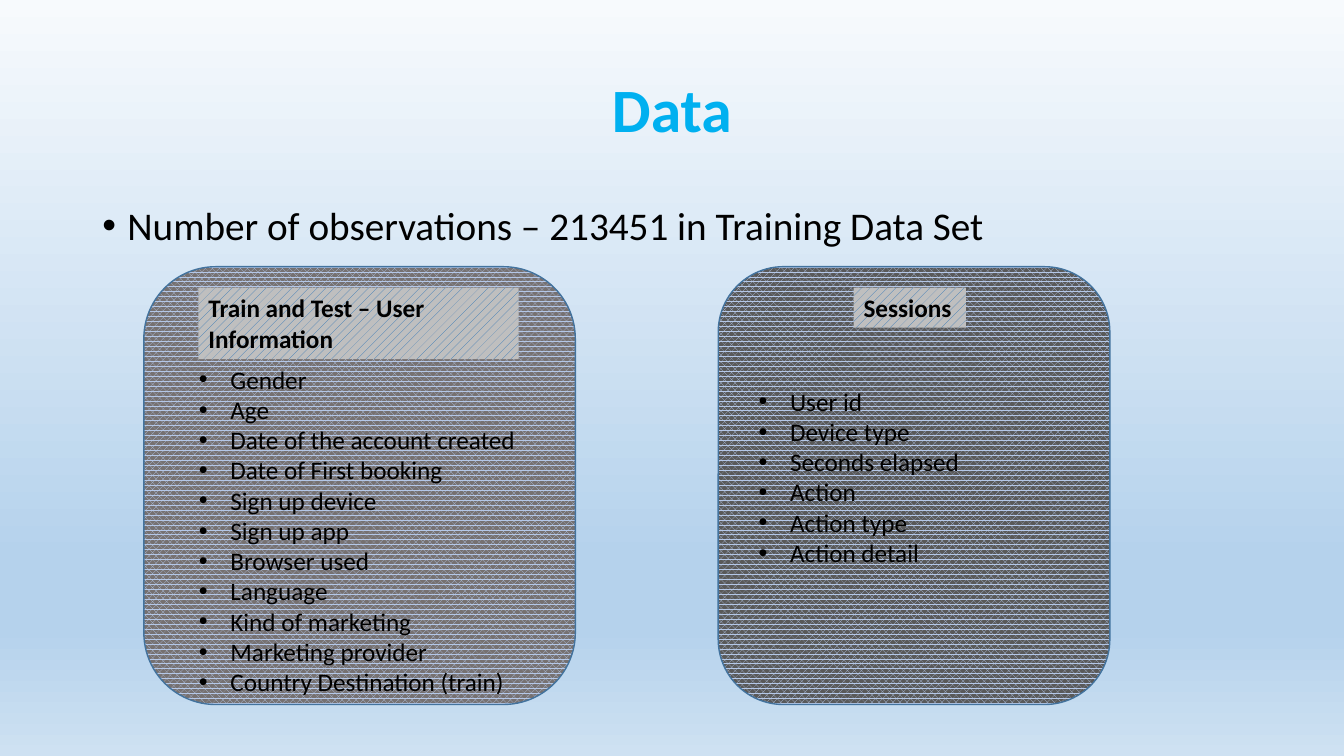
from copy import deepcopy
from dataclasses import dataclass

from pptx import Presentation
from pptx.dml.color import RGBColor
from pptx.enum.dml import MSO_PATTERN as Pattern
from pptx.enum.shapes import MSO_SHAPE as Preset
from pptx.enum.text import MSO_ANCHOR as Anchor, PP_ALIGN as Align
from pptx.oxml.ns import qn
from pptx.oxml.xmlchemy import OxmlElement
from pptx.shapes.autoshape import Shape
from pptx.slide import Slide
from pptx.text.text import _Paragraph as Paragraph
from pptx.util import Emu, Pt

EMU_PER_PX = 9525
FONT = "Calibri"
BLACK = RGBColor(0x00, 0x00, 0x00)
TITLE_BLUE = RGBColor(0x00, 0xB0, 0xF0)
CARD_OUTLINE = RGBColor(0x43, 0x73, 0x9E)
CARD_DOTS = RGBColor(0xB4, 0xC7, 0xE7)
WARM_GRAY = RGBColor(0x76, 0x71, 0x71)
DARK_GRAY = RGBColor(0x59, 0x59, 0x59)
LABEL_DOTS = RGBColor(0x2E, 0x75, 0xB6)
LABEL_GRAY = RGBColor(0xBF, 0xBF, 0xBF)
BACKGROUND_STOPS = (
    (0.00, RGBColor(0xF7, 0xFA, 0xFD)),
    (0.74, RGBColor(0xB5, 0xD2, 0xEC)),
    (0.83, RGBColor(0xB5, 0xD2, 0xEC)),
    (1.00, RGBColor(0xCE, 0xE1, 0xF2)),
)


@dataclass(frozen=True)
class Box:
    left: int
    top: int
    width: int
    height: int

    def emu(self) -> tuple[Emu, Emu, Emu, Emu]:
        left, top, width, height = map(px, (self.left, self.top, self.width, self.height))
        return left, top, width, height


@dataclass(frozen=True)
class DataSet:
    heading: str
    fields: tuple[str, ...]
    color: RGBColor
    card: Box
    label: Box
    listing: Box


TITLE_BOX = Box(88, 38, 1104, 139)
BODY_BOX = Box(88, 192, 1104, 492)
DATA_SETS = (
    DataSet(
        "Train and Test – User Information",
        (
            "Gender", "Age", "Date of the account created", "Date of First booking",
            "Sign up device", "Sign up app", "Browser used", "Language",
            "Kind of marketing", "Marketing provider", "Country Destination (train)",
        ),
        WARM_GRAY,
        card=Box(137, 254, 411, 417),
        label=Box(189, 274, 305, 68),
        listing=Box(180, 342, 323, 329),
    ),
    DataSet(
        "Sessions",
        ("User id", "Device type", "Seconds elapsed", "Action", "Action type", "Action detail"),
        DARK_GRAY,
        card=Box(684, 254, 373, 417),
        label=Box(813, 274, 107, 38),
        listing=Box(713, 363, 316, 184),
    ),
)


def px(length: int) -> Emu:
    return Emu(length * EMU_PER_PX)


def paint_background(slide: Slide) -> None:
    fill = slide.background.fill
    fill.gradient()
    fill.gradient_angle = 270
    stop_list = slide.element.find(".//" + qn("a:gsLst"))
    while len(stop_list) < len(BACKGROUND_STOPS):
        stop_list.append(deepcopy(stop_list[0]))
    for stop, (position, color) in zip(fill.gradient_stops, BACKGROUND_STOPS):
        stop.position = position
        stop.color.rgb = color


def add_bullet(paragraph: Paragraph, indent: int) -> None:
    """Give the paragraph a round bullet with a hanging indent in px."""
    properties = paragraph._p.get_or_add_pPr()
    properties.set("marL", str(px(indent)))
    properties.set("indent", str(-px(indent)))
    font = OxmlElement("a:buFont")
    font.set("typeface", "Arial")
    bullet = OxmlElement("a:buChar")
    bullet.set("char", "•")
    properties.extend((font, bullet))


def write_lines(shape: Shape, lines: tuple[str, ...], size: int, color: RGBColor = BLACK,
                bold: bool = False, indent: int = 0) -> None:
    """Fill the shape with one paragraph per line, bulleted if there is an indent."""
    frame = shape.text_frame
    frame.word_wrap = True
    frame.text = "\n".join(lines)
    for paragraph in frame.paragraphs:
        paragraph.alignment = Align.LEFT
        font = paragraph.font
        font.name, font.size, font.bold = FONT, Pt(size), bold
        font.color.rgb = color
        if indent:
            add_bullet(paragraph, indent)


def add_text(slide: Slide, box: Box) -> Shape:
    return slide.shapes.add_textbox(*box.emu())


def add_patterned(slide: Slide, preset: Preset, box: Box, pattern: Pattern,
                  dots: RGBColor, ground: RGBColor) -> Shape:
    shape = slide.shapes.add_shape(preset, *box.emu())
    shape.shadow.inherit = False
    fill = shape.fill
    fill.patterned()
    fill.pattern = pattern
    fill.fore_color.rgb = dots
    fill.back_color.rgb = ground
    return shape


def add_title(slide: Slide) -> None:
    title = add_text(slide, TITLE_BOX)
    write_lines(title, ("Data",), 44, TITLE_BLUE, bold=True)
    title.text_frame.vertical_anchor = Anchor.MIDDLE
    paragraph = title.text_frame.paragraphs[0]
    paragraph.alignment = Align.CENTER
    paragraph.line_spacing = 0.9


def add_body(slide: Slide) -> None:
    body = add_text(slide, BODY_BOX)
    write_lines(body, ("Number of observations – 213451 in Training Data Set",), 28, indent=24)
    paragraph = body.text_frame.paragraphs[0]
    paragraph.line_spacing = 0.9
    paragraph.space_before = Pt(10)


def add_data_set(slide: Slide, data_set: DataSet) -> None:
    card = add_patterned(slide, Preset.ROUNDED_RECTANGLE, data_set.card,
                         Pattern.PERCENT_70, CARD_DOTS, data_set.color)
    card.line.color.rgb = CARD_OUTLINE
    card.line.width = Pt(1)

    label = add_patterned(slide, Preset.RECTANGLE, data_set.label,
                          Pattern.PERCENT_20, LABEL_DOTS, LABEL_GRAY)
    label.line.fill.background()
    write_lines(label, (data_set.heading,), 18, bold=True)
    label.text_frame.vertical_anchor = Anchor.TOP

    write_lines(add_text(slide, data_set.listing), data_set.fields, 18, indent=30)


def main() -> None:
    presentation = Presentation()
    presentation.slide_width, presentation.slide_height = px(1280), px(720)
    slide = presentation.slides.add_slide(presentation.slide_layouts[6])
    paint_background(slide)
    add_title(slide)
    add_body(slide)
    for data_set in DATA_SETS:
        add_data_set(slide, data_set)
    presentation.save("out.pptx")


if __name__ == "__main__":
    main()
